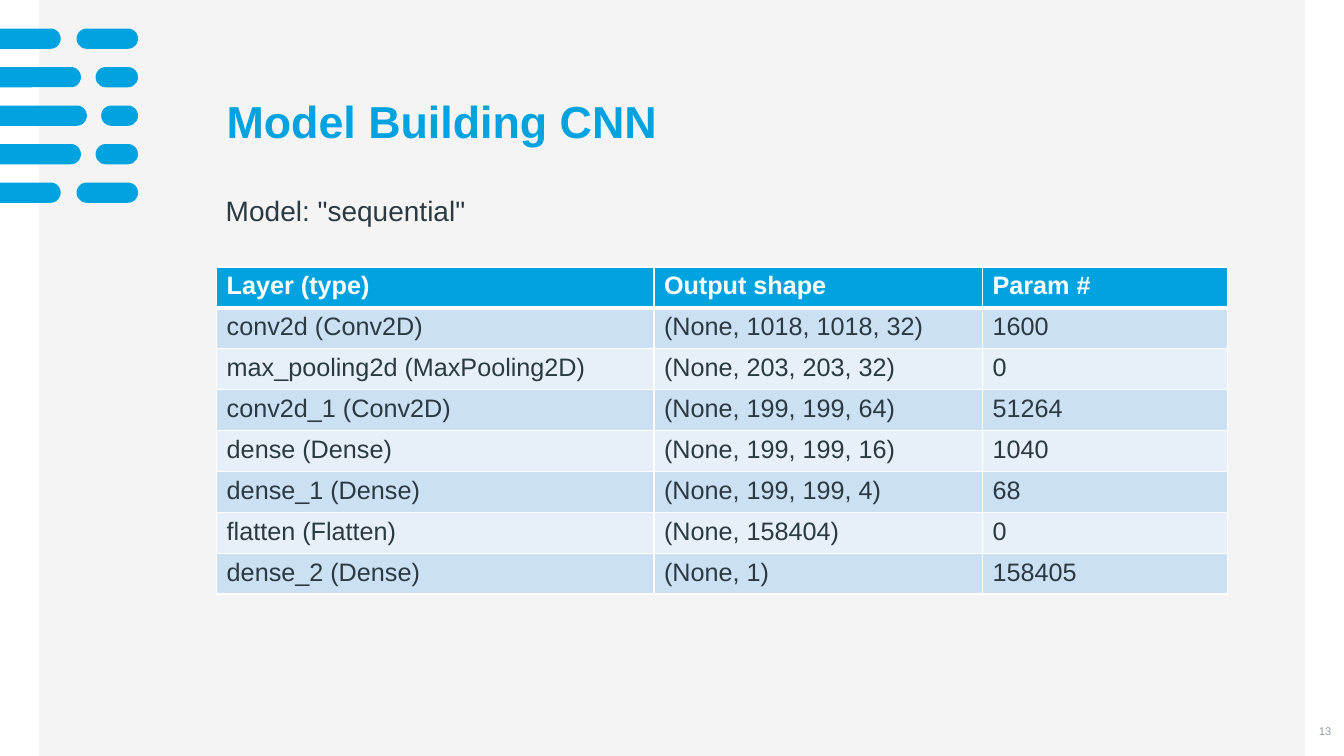
from dataclasses import dataclass
from math import cos, pi, sin

from lxml.etree import SubElement
from pptx import Presentation
from pptx.dml.color import RGBColor as Color
from pptx.enum.shapes import MSO_SHAPE as Shape
from pptx.enum.text import MSO_ANCHOR as Anchor, PP_ALIGN as Align
from pptx.oxml.ns import qn
from pptx.util import Cm, Pt


@dataclass(frozen=True)
class Theme:
    font: str = "Arial"
    accent: str = "00A3E0"
    panel: str = "F4F4F4"
    ink: str = "2B3A42"
    muted: str = "959CA0"
    white: str = "FFFFFF"
    bands: tuple = ("CCE0F3", "E7F0F9")
    title_size: int = 32
    subtitle_size: int = 20
    table_size: int = 18
    number_size: int = 8


THEME = Theme()
BAR_HEIGHT = 0.51
BAR_TOP = 0.72
BAR_PITCH = 0.97
BARS_RIGHT = 3.48
BARS = [(1.53, 1.93), (2.04, 2.41), (2.19, 2.55), (2.04, 2.41), (1.53, 1.93)]

COLUMN_WIDTHS = (11.02, 8.28, 6.17)
ROW_HEIGHT = 1.03
LAYERS = [
    ("Layer (type)", "Output shape", "Param #"),
    ("conv2d (Conv2D)", "(None, 1018, 1018, 32)", "1600"),
    ("max_pooling2d (MaxPooling2D)", "(None, 203, 203, 32)", "0"),
    ("conv2d_1 (Conv2D)", "(None, 199, 199, 64)", "51264"),
    ("dense (Dense)", "(None, 199, 199, 16)", "1040"),
    ("dense_1 (Dense)", "(None, 199, 199, 4)", "68"),
    ("flatten (Flatten)", "(None, 158404)", "0"),
    ("dense_2 (Dense)", "(None, 1)", "158405"),
]


def paint(shape, color):
    shape.shadow.inherit = False
    shape.fill.solid()
    shape.fill.fore_color.rgb = Color.from_string(color)
    shape.line.fill.background()


def style_text(frame, size, color, bold=False):
    for para in frame.paragraphs:
        for span in para.runs:
            span.font.name = THEME.font
            span.font.size = Pt(size)
            span.font.bold = bold
            span.font.color.rgb = Color.from_string(color)


def add_block(page, kind, left, top, width, height, color):
    block = page.shapes.add_shape(kind, Cm(left), Cm(top), Cm(width), Cm(height))
    paint(block, color)
    return block


def add_pill(page, left, top, right):
    pill = add_block(page, Shape.ROUNDED_RECTANGLE, left, top,
                     right - left, BAR_HEIGHT, THEME.accent)
    pill.adjustments[0] = 0.5


def add_edge_bar(page, top, length, steps=16):
    radius = BAR_HEIGHT / 2
    angles = [pi * step / steps - pi / 2 for step in range(steps + 1)]
    cap = [(Cm(length - radius + radius * cos(angle)),
            Cm(top + radius + radius * sin(angle))) for angle in angles]
    outline = page.shapes.build_freeform(0, Cm(top))
    outline.add_line_segments(cap + [(0, Cm(top + BAR_HEIGHT))])
    paint(outline.convert_to_shape(), THEME.accent)


def add_bars(page):
    for index, (length, pill_left) in enumerate(BARS):
        top = BAR_TOP + index * BAR_PITCH
        add_edge_bar(page, top, length)
        add_pill(page, pill_left, top, BARS_RIGHT)


def add_text(page, text, left, top, width, height, size, color, bold=False):
    box = page.shapes.add_textbox(Cm(left), Cm(top), Cm(width), Cm(height))
    frame = box.text_frame
    frame.word_wrap = True
    frame.text = text
    style_text(frame, size, color, bold)
    return frame


def add_title(page, text):
    frame = add_text(page, text, 5.46, 2.29, 25.45, 1.65,
                     THEME.title_size, THEME.accent, bold=True)
    frame.vertical_anchor = Anchor.MIDDLE
    frame.paragraphs[0].line_spacing = 0.9


def add_page_number(page, text):
    frame = add_text(page, text, 32.56, 18.19, 0.99, 0.48,
                     THEME.number_size, THEME.muted)
    frame.margin_left = frame.margin_right = 0
    frame.margin_top = frame.margin_bottom = 0
    frame.vertical_anchor = Anchor.MIDDLE
    frame.paragraphs[0].alignment = Align.RIGHT


def set_borders(cell, top=1, bottom=1):
    properties = cell._tc.get_or_add_tcPr()
    for side, width in (("L", 1), ("R", 1), ("T", top), ("B", bottom)):
        line = SubElement(properties, qn(f"a:ln{side}"), w=str(Pt(width)))
        fill = SubElement(line, qn("a:solidFill"))
        SubElement(fill, qn("a:srgbClr"), val=THEME.white)


def fill_cell(cell, text, row):
    header = row == 0
    set_borders(cell, top=3 if row == 1 else 1, bottom=3 if header else 1)
    cell.fill.solid()
    color = THEME.accent if header else THEME.bands[(row - 1) % 2]
    cell.fill.fore_color.rgb = Color.from_string(color)
    cell.text_frame.text = text
    style_text(cell.text_frame, THEME.table_size,
               THEME.white if header else THEME.ink, bold=header)


def add_layer_table(page, left, top):
    table = page.shapes.add_table(
        len(LAYERS), len(COLUMN_WIDTHS), Cm(left), Cm(top),
        Cm(sum(COLUMN_WIDTHS)), Cm(ROW_HEIGHT * len(LAYERS))).table
    for column, width in zip(table.columns, COLUMN_WIDTHS):
        column.width = Cm(width)
    for row, values in enumerate(LAYERS):
        table.rows[row].height = Cm(ROW_HEIGHT)
        for column, text in enumerate(values):
            fill_cell(table.cell(row, column), text, row)


def main():
    deck = Presentation()
    deck.slide_width, deck.slide_height = Cm(33.87), Cm(19.05)
    page = deck.slides.add_slide(deck.slide_layouts[6])
    add_block(page, Shape.RECTANGLE, 0.99, 0, 31.9, 19.05, THEME.panel)
    add_bars(page)
    add_page_number(page, "13")
    add_layer_table(page, 5.46, 6.73)
    add_title(page, "Model Building CNN")
    add_text(page, 'Model: "sequential"', 5.44, 4.75, 12.32, 1.12,
             THEME.subtitle_size, THEME.ink)
    deck.save("out.pptx")


if __name__ == "__main__":
    main()
